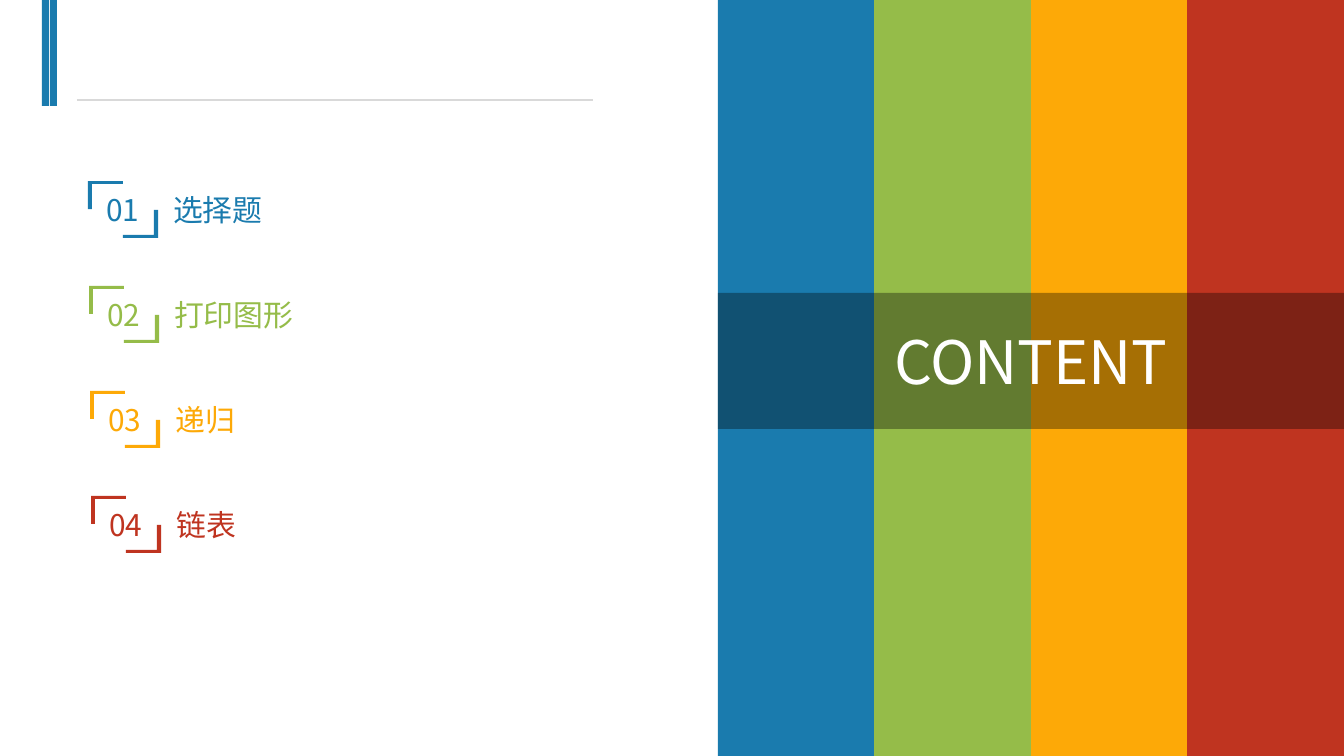
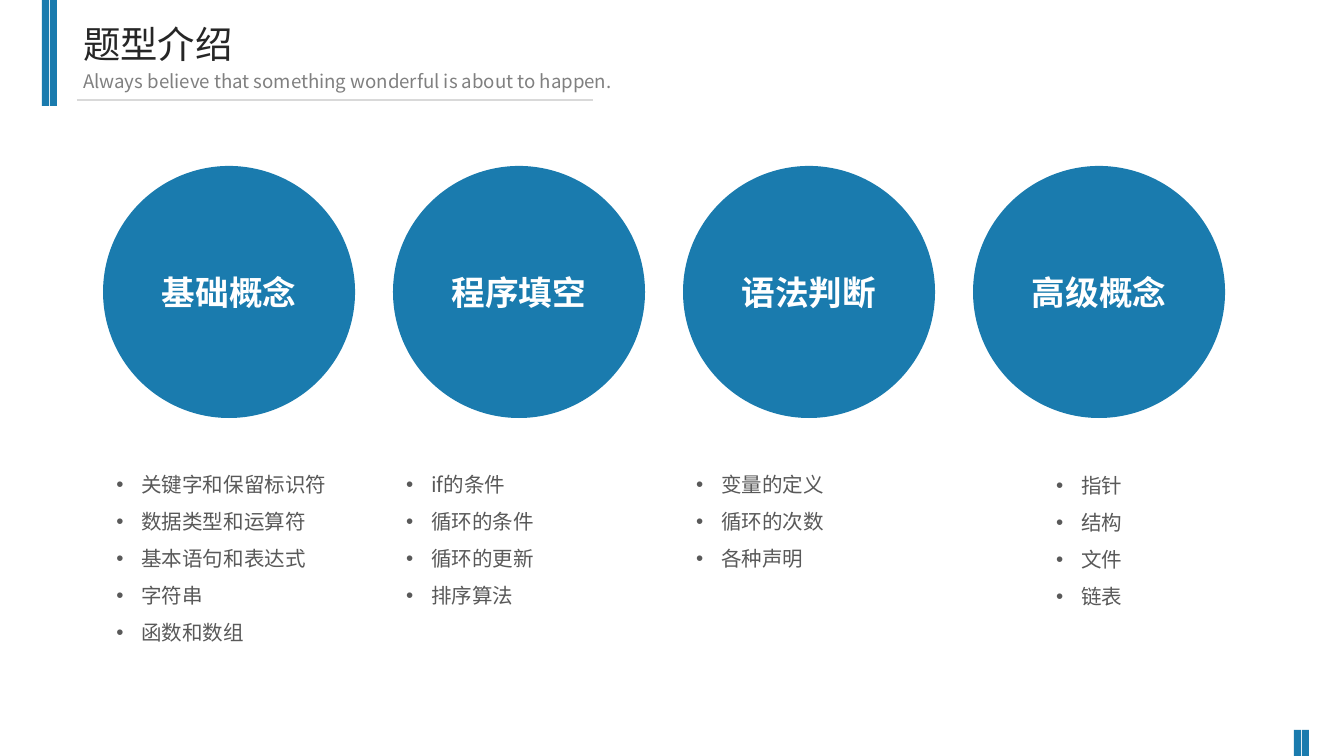
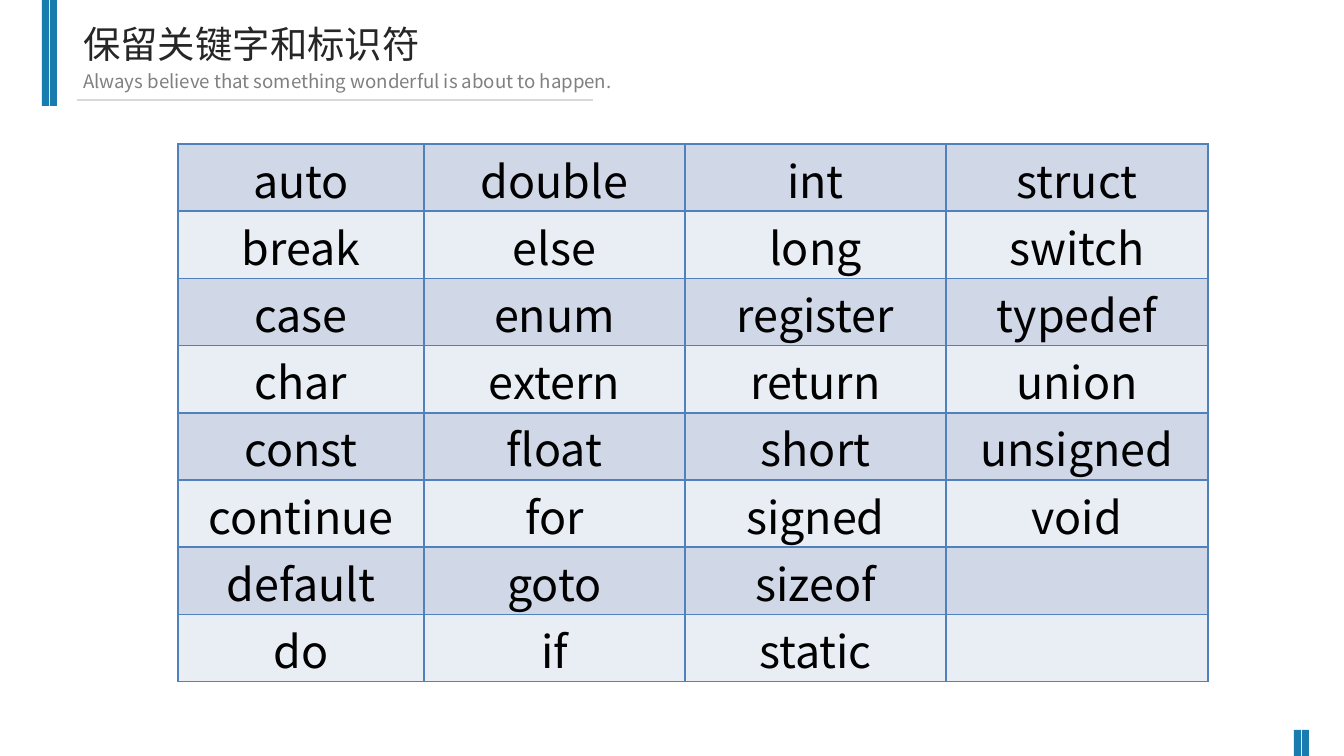
from dataclasses import dataclass

from lxml.etree import SubElement as add_element
from pptx import Presentation
from pptx.dml.color import RGBColor
from pptx.enum.shapes import MSO_CONNECTOR as Connector, MSO_SHAPE as Preset
from pptx.enum.text import MSO_ANCHOR as Anchor, MSO_AUTO_SIZE as AutoSize, PP_ALIGN as Align
from pptx.oxml.ns import qn
from pptx.util import Pt

EMU_PER_PX = 914400 / 134.4


@dataclass(frozen=True)
class Theme:
    font: str = "Noto Sans CJK SC"
    blue: str = "1A7BAE"
    green: str = "95BC49"
    orange: str = "FDA907"
    red: str = "BF3420"
    white: str = "FFFFFF"
    black: str = "000000"
    title: str = "262626"
    subtitle: str = "808080"
    body: str = "595959"
    rule: str = "D9D9D9"
    border: str = "4F81BD"
    bands: tuple = ("D0D8E8", "E9EDF4")
    title_size: int = 20
    subtitle_size: int = 10
    body_size: int = 11
    circle_size: int = 18
    agenda_size: int = 16
    banner_size: int = 32
    keyword_size: int = 24


THEME = Theme()
SECTION_COLOURS = (THEME.blue, THEME.green, THEME.orange, THEME.red)
SECTIONS = ("选择题", "打印图形", "递归", "链表")
SUBTITLE = "Always believe that something wonderful is about to happen."
TOPICS = (
    ("基础概念", ("关键字和保留标识符", "数据类型和运算符", "基本语句和表达式", "字符串", "函数和数组"), 103, 453),
    ("程序填空", ("if的条件", "循环的条件", "循环的更新", "排序算法"), 393, 453),
    ("语法判断", ("变量的定义", "循环的次数", "各种声明"), 683, 453),
    ("高级概念", ("指针", "结构", "文件", "链表"), 1043, 454),
)
KEYWORDS = (
    "auto break case char const continue default do "
    "double else enum extern float for goto if "
    "int long register return short signed sizeof static "
    "struct switch typedef union unsigned void"
).split()


def px(length):
    return round(length * EMU_PER_PX)


def area(left, top, width, height):
    return px(left), px(top), px(width), px(height)


def apply(target, **values):
    for name, value in values.items():
        setattr(target, name, value)


def paint(fill, colour):
    fill.solid()
    fill.fore_color.rgb = RGBColor.from_string(colour)


def write(para, text, size, colour, bold=None, align=None):
    if align is not None:
        para.alignment = align
    span = para.add_run()
    span.text = text
    apply(span.font, size=Pt(size), bold=bold, name=THEME.font)
    span.font.color.rgb = RGBColor.from_string(colour)
    add_element(span._r.get_or_add_rPr(), qn("a:ea"), typeface=THEME.font)


def add_bullet(para, indent):
    properties = para._p.get_or_add_pPr()
    apply(para, line_spacing=1.5)
    properties.set("marL", str(px(indent)))
    properties.set("indent", str(-px(indent)))
    add_element(properties, qn("a:buFont"), typeface="Arial")
    add_element(properties, qn("a:buChar"), char="•")


def finish(shape, colour):
    shape.shadow.inherit = False
    paint(shape.fill, colour)
    shape.line.fill.background()
    return shape


def add_block(page, preset, bounds, colour):
    return finish(page.shapes.add_shape(preset, *area(*bounds)), colour)


def label(shape, text, size, colour, bold=None):
    apply(shape.text_frame, vertical_anchor=Anchor.MIDDLE, word_wrap=True)
    write(shape.text_frame.paragraphs[0], text, size, colour, bold, Align.CENTER)


def add_text(page, bounds, lines, size, colour, bullet_indent=None):
    box = page.shapes.add_textbox(*area(*bounds))
    frame = box.text_frame
    apply(frame, word_wrap=True, auto_size=AutoSize.SHAPE_TO_FIT_TEXT)
    for index, line in enumerate(lines):
        para = frame.add_paragraph() if index else frame.paragraphs[0]
        if bullet_indent:
            add_bullet(para, bullet_indent)
        write(para, line, size, colour)


def add_twin_bars(page, left, top, height):
    for offset in (0, 8):
        add_block(page, Preset.RECTANGLE, (left + offset, top, 7, height), THEME.blue)


def add_header(page, title=None):
    add_twin_bars(page, 42, 0, 106)
    rule = page.shapes.add_connector(Connector.STRAIGHT, px(77), px(100), px(593), px(100))
    apply(rule.line, width=Pt(0.75))
    rule.line.color.rgb = RGBColor.from_string(THEME.rule)
    add_element(rule._element.spPr, qn("a:effectLst"))
    if title:
        add_twin_bars(page, 1294, 730, 26)
        add_text(page, (70, 15, 569, 59), [title], THEME.title_size, THEME.title)
        add_text(page, (70, 63, 569, 59), [SUBTITLE], THEME.subtitle_size, THEME.subtitle)


def add_bracket(page, left, top, number, colour):
    width, height = 70, 57
    corner = [(0, 0), (35, 0), (35, 3), (4, 3), (4, 28), (0, 28)]
    opposite = [(width - x, height - y) for x, y in corner]
    outline = page.shapes.build_freeform(*corner[0], scale=EMU_PER_PX)
    outline.add_line_segments(corner[1:], close=True)
    outline.move_to(*opposite[0])
    outline.add_line_segments(opposite[1:], close=True)
    bracket = finish(outline.convert_to_shape(px(left), px(top)), colour)
    label(bracket, number, THEME.agenda_size, colour)


def add_cell_borders(cell):
    properties = cell._tc.get_or_add_tcPr()
    for side in ("lnL", "lnR", "lnT", "lnB"):
        line = add_element(properties, qn(f"a:{side}"), w=str(Pt(1)))
        fill = add_element(line, qn("a:solidFill"))
        add_element(fill, qn("a:srgbClr"), val=THEME.border)


def add_keyword_table(page, bounds, row_count, widths):
    table = page.shapes.add_table(row_count, len(widths), *area(*bounds)).table
    apply(table, first_row=False, horz_banding=False)
    for column, width in zip(table.columns, widths):
        column.width = px(width)
    for row_index, row in enumerate(table.rows):
        row.height = px(bounds[3]) // row_count
        for column_index, cell in enumerate(row.cells):
            apply(cell, margin_top=0, margin_bottom=0, vertical_anchor=Anchor.BOTTOM)
            add_cell_borders(cell)
            paint(cell.fill, THEME.bands[row_index % 2])
            position = column_index * row_count + row_index
            if position < len(KEYWORDS):
                para = cell.text_frame.paragraphs[0]
                write(para, KEYWORDS[position], THEME.keyword_size, THEME.black, align=Align.CENTER)


def build_agenda(page):
    add_header(page)
    for index, (section, colour) in enumerate(zip(SECTIONS, SECTION_COLOURS)):
        left, top = 88 + index, 181 + 105 * index
        add_text(page, (left + 72, top + 4, 535, 50), [section], THEME.agenda_size, colour)
        add_bracket(page, left, top, f"{index + 1:02}", colour)
    for index, colour in enumerate(SECTION_COLOURS):
        add_block(page, Preset.RECTANGLE, (718 + index * 313 // 2, 0, 157, 756), colour)
    banner = add_block(page, Preset.RECTANGLE, (718, 293, 626, 136), THEME.black)
    tint = banner._element.spPr.find(qn("a:solidFill")).find(qn("a:srgbClr"))
    add_element(tint, qn("a:alpha"), val="34000")
    label(banner, "CONTENT", THEME.banner_size, THEME.white)


def build_topics(page):
    add_header(page, "题型介绍")
    for index, (topic, points, left, top) in enumerate(TOPICS):
        circle = add_block(page, Preset.OVAL, (103 + 290 * index, 166, 252, 252), THEME.blue)
        label(circle, topic, THEME.circle_size, THEME.white, True)
        bounds = (left, top, 252, 14 + 37 * len(points))
        add_text(page, bounds, points, THEME.body_size, THEME.body, bullet_indent=25)


def build_keywords(page):
    add_header(page, "保留关键字和标识符")
    add_keyword_table(page, (178, 144, 1030, 538), 8, (246, 261, 261, 262))


def main():
    deck = Presentation()
    apply(deck, slide_width=px(1344), slide_height=px(756))
    for build in (build_agenda, build_topics, build_keywords):
        build(deck.slides.add_slide(deck.slide_layouts[6]))
    deck.save("out.pptx")


if __name__ == "__main__":
    main()
